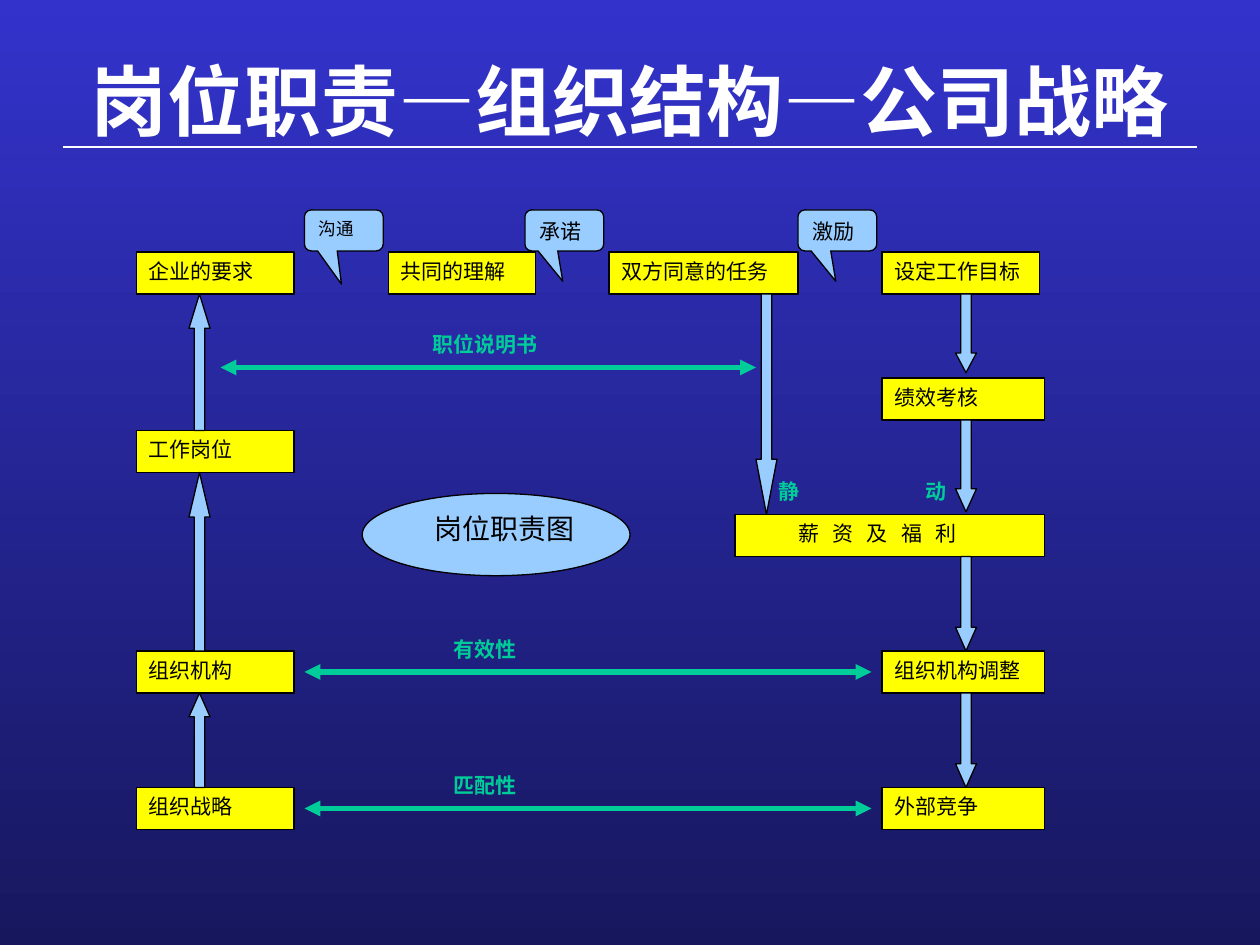
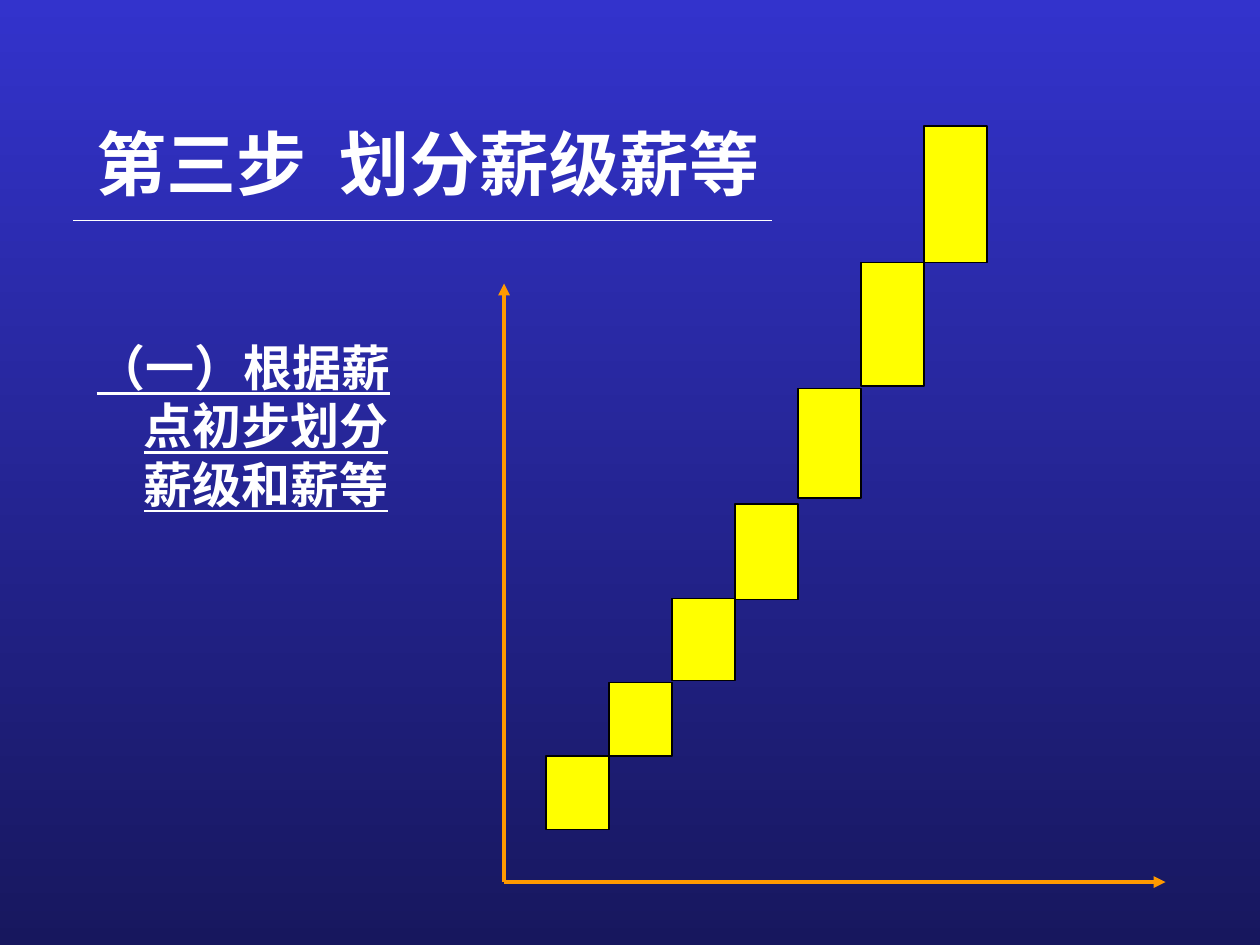
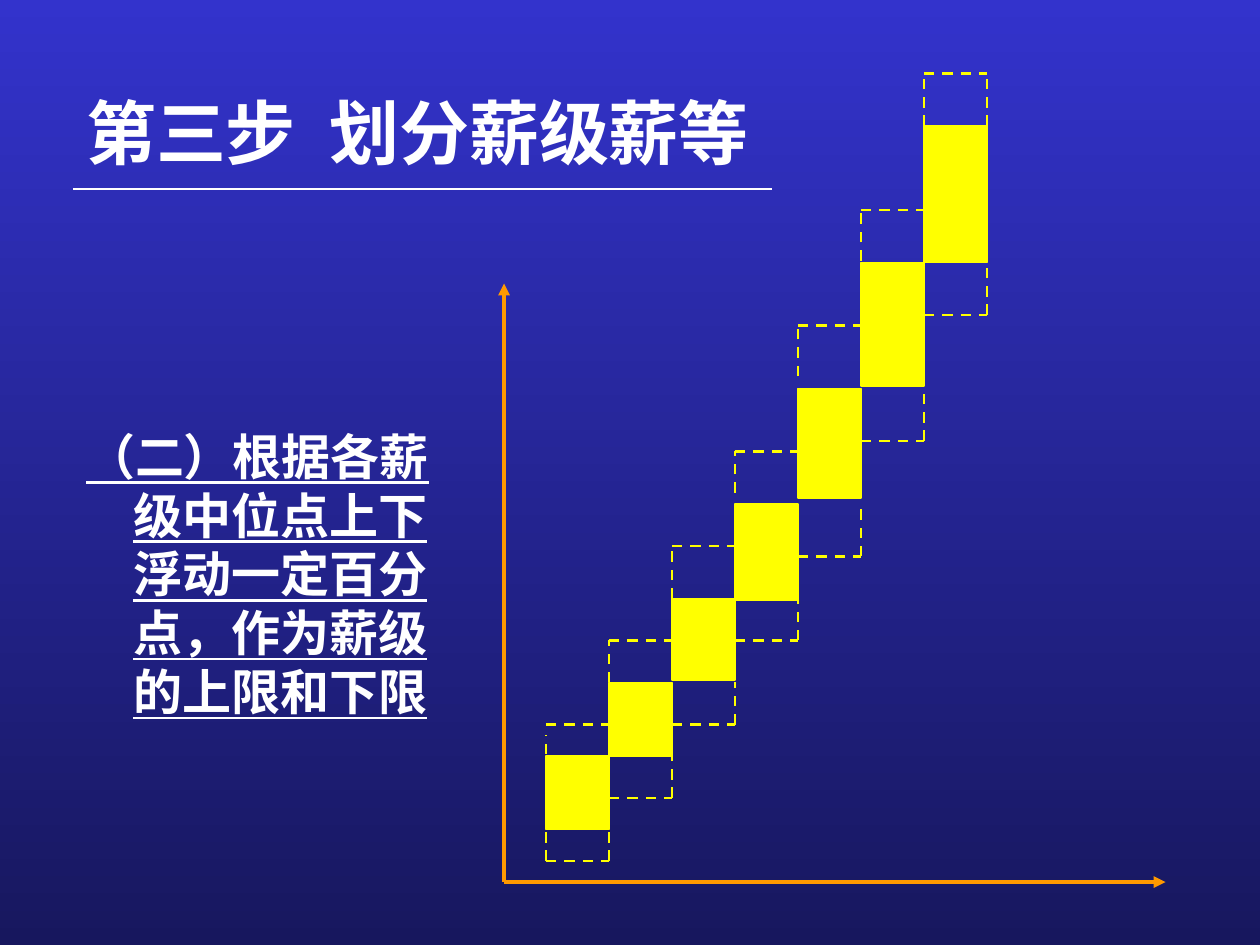
from lxml import etree
from pptx import Presentation
from pptx.dml.color import RGBColor
from pptx.enum.dml import MSO_LINE
from pptx.enum.shapes import MSO_CONNECTOR, MSO_SHAPE
from pptx.enum.text import MSO_ANCHOR, MSO_AUTO_SIZE, PP_ALIGN
from pptx.oxml.ns import qn
from pptx.util import Pt

RECT = MSO_SHAPE.RECTANGLE
OVAL = MSO_SHAPE.OVAL
UP = MSO_SHAPE.UP_ARROW
DOWN = MSO_SHAPE.DOWN_ARROW
CALL = MSO_SHAPE.ROUNDED_RECTANGULAR_CALLOUT
LINE = MSO_CONNECTOR.STRAIGHT
DASH = MSO_LINE.DASH
LEFT = PP_ALIGN.LEFT
CENTER = PP_ALIGN.CENTER
FULL = PP_ALIGN.JUSTIFY
TOP = MSO_ANCHOR.TOP
MIDDLE = MSO_ANCHOR.MIDDLE
FIXED = MSO_AUTO_SIZE.NONE
GROW = MSO_AUTO_SIZE.SHAPE_TO_FIT_TEXT

FONT = "Times New Roman"
HEX = {
    "sky": "3333CC",
    "night": "17175E",
    "white": "FFFFFF",
    "black": "000000",
    "yellow": "FFFF00",
    "blue": "99CCFF",
    "green": "00CC99",
    "orange": "FF9900",
}
RGB = {name: RGBColor.from_string(code) for name, code in HEX.items()}


def draw(slide, kind, box, fill, edge="black", width=0.75, text="", size=12, indent=0):
    shape = slide.shapes.add_shape(kind, *map(Pt, box))
    shape.shadow.inherit = False
    shape.fill.solid()
    shape.fill.fore_color.rgb = RGB[fill]
    shape.line.color.rgb = RGB[edge]
    shape.line.width = Pt(width)
    if text:
        frame = shape.text_frame
        frame.word_wrap = True
        frame.vertical_anchor = TOP
        para = frame.paragraphs[0]
        para.text = text
        para.alignment = FULL
        para._p.get_or_add_pPr().set("marL", str(Pt(indent)))
        para.font.name = FONT
        para.font.size = Pt(size)
        para.font.color.rgb = RGB["black"]
    return shape


def link(slide, ends, color, width, tips=()):
    line = slide.shapes.add_connector(LINE, *map(Pt, ends))
    line.line.color.rgb = RGB[color]
    line.line.width = Pt(width)
    for tip in tips:
        etree.SubElement(line.line._get_or_add_ln(), qn("a:" + tip)).set("type", "triangle")
    etree.SubElement(line._element.spPr, qn("a:effectLst"))
    return line


deck = Presentation()
deck.slide_width = Pt(720)
deck.slide_height = Pt(540)

back = deck.slide_master.background.fill
back.gradient()
back.gradient_angle = 270
for stop, name in zip(back.gradient_stops, ("sky", "night")):
    stop.color.rgb = RGB[name]

STEP = ("第三步", " ", "划分薪级薪等")
PAGES = [
    (("岗位职责—组织结构—公司战略",), (33, 12, 654, 90), 44, CENTER,
     (36, 84, 684, 84), "", None),
    (STEP, (48, 66, 420, 54), 40, LEFT, (42, 126, 441, 126),
     "（一）根据薪点初步划分薪级和薪等", (48, 189, 198, 162)),
    (STEP, (42, 48, 420, 54), 40, LEFT, (42, 108, 441, 108),
     "（二）根据各薪级中位点上下浮动一定百分点，作为薪级的上限和下限", (42, 240, 216, 228)),
]
slides = []
for parts, spot, size, align, rule, body, area in PAGES:
    slide = deck.slides.add_slide(deck.slide_layouts[1 if body else 5])
    slides.append(slide)
    title = slide.shapes.title
    title.left, title.top, title.width, title.height = map(Pt, spot)
    title.text_frame.auto_size = FIXED
    title.text_frame.vertical_anchor = MIDDLE
    head = title.text_frame.paragraphs[0]
    for part in parts:
        run = head.add_run()
        run.text = part
        if part == " ":
            run._r.get_or_add_rPr().set("spc", "1000")
    head.alignment = align
    head.font.size = Pt(size)
    paras = [head]
    if body:
        hold = slide.placeholders[1]
        hold.left, hold.top, hold.width, hold.height = map(Pt, area)
        hold.text_frame.auto_size = FIXED
        para = hold.text_frame.paragraphs[0]
        para.text = body
        props = para._p.get_or_add_pPr()
        props.set("marL", str(Pt(27)))
        props.set("indent", str(Pt(-27)))
        etree.SubElement(props, qn("a:buNone"))
        para.space_before = Pt(0)
        para.font.size = Pt(28)
        para.font.underline = True
        paras.append(para)
    for para in paras:
        para.font.name = FONT
        para.font.bold = True
        para.font.color.rgb = RGB["white"]
    link(slide, rule, "white", 0.75)

chart, first, second = slides

BOXES = [
    (78, 144, 90, "企业的要求"),
    (222, 144, 84, "共同的理解"),
    (348, 144, 108, "双方同意的任务"),
    (504, 144, 90, "设定工作目标"),
    (504, 216, 93, "绩效考核"),
    (504, 372, 93, "组织机构调整"),
    (504, 450, 93, "外部竞争"),
    (78, 246, 90, "工作岗位"),
    (78, 372, 90, "组织机构"),
    (78, 450, 90, "组织战略"),
]
for left, top, width, text in BOXES:
    draw(chart, RECT, (left, top, width, 24), "yellow", text=text)
pay = draw(chart, RECT, (420, 294, 177, 24), "yellow", text="薪 资 及 福 利", indent=29)
pay.text_frame.paragraphs[0].runs[0]._r.get_or_add_rPr().set("spc", "250")
draw(chart, OVAL, (207, 282, 153, 47), "blue", text="岗位职责图", size=16, indent=12)

ARROWS = [
    (UP, 108, 168, 78, 1.63),
    (UP, 108, 270, 102, 2.13),
    (UP, 108, 396, 54, 1.13),
    (DOWN, 432, 168, 126, 2.63),
    (DOWN, 546, 168, 45, 0.94),
    (DOWN, 546, 240, 52.5, 1.1),
    (DOWN, 546, 318, 54, 1.13),
    (DOWN, 546, 396, 54, 1.13),
]
for kind, left, top, tall, point in ARROWS:
    arrow = draw(chart, kind, (left, top, 12, tall), "blue")
    arrow.adjustments[1] = point

CALLS = [
    (174, "沟通", 10, -0.03, 1.31),
    (300, "承诺", 12, -0.02, 1.24),
    (456, "激励", 12, -0.02, 1.24),
]
for left, text, size, across, down in CALLS:
    call = draw(chart, CALL, (left, 120, 45, 23.4), "blue", text=text, size=size)
    call.adjustments[0] = across
    call.adjustments[1] = down

for start, end, y in [(126, 432, 210), (174, 498, 384), (174, 498, 462)]:
    link(chart, (start, y, end, y), "green", 3, ("headEnd", "tailEnd"))

LABELS = [
    (240, 186, 102, "职位说明书"),
    (252, 438, 85, "匹配性"),
    (252, 360, 79, "有效性"),
    (438, 270, 30.5, "静"),
    (522, 270, 30.5, "动"),
]
for left, top, width, text in LABELS:
    label = chart.shapes.add_textbox(*map(Pt, (left, top, width, 21.6)))
    label.text_frame.word_wrap = True
    label.text_frame.auto_size = GROW
    para = label.text_frame.paragraphs[0]
    para.text = text
    para.font.name = FONT
    para.font.size = Pt(12)
    para.font.bold = True
    para.font.color.rgb = RGB["green"]

BARS = [(432, 42), (390, 42), (342, 46.8), (288, 54.7), (222, 62.6), (150, 70.6), (72, 78)]
X, WIDE = 312, 36
for slide, edge, width in [(first, "black", 0.75), (second, "yellow", 1)]:
    for step, (top, tall) in enumerate(BARS):
        draw(slide, RECT, (X + WIDE * step, top, WIDE, tall), "yellow", edge, width)
    for end in [(288, 162), (666, 504)]:
        link(slide, (288, 504, *end), "orange", 2.25, ("tailEnd",))

RANGES = [
    (414, 431, 420, 492, 474),
    (366, 390, 366, 456, 432),
    (312, 342, 312, 414, 390),
    (258, 281.5, 258, 366, 342),
    (186, 215, 186, 318, 288),
    (120, 149, 120, 252, 222),
    (42, 72, 42, 180, 150),
]
dashes = [(X, 492, X, 474), (X + 7 * WIDE, 72, X + 7 * WIDE, 42)]
for step, (cap, base, tip, floor, foot) in enumerate(RANGES):
    left = X + WIDE * step
    right = left + WIDE
    dashes += [
        (left, cap, right, cap),
        (left, floor, right, floor),
        (left, base, left, tip),
        (right, floor, right, foot),
    ]
for ends in dashes:
    link(second, ends, "yellow", 1.5).line.dash_style = DASH

deck.save("out.pptx")
